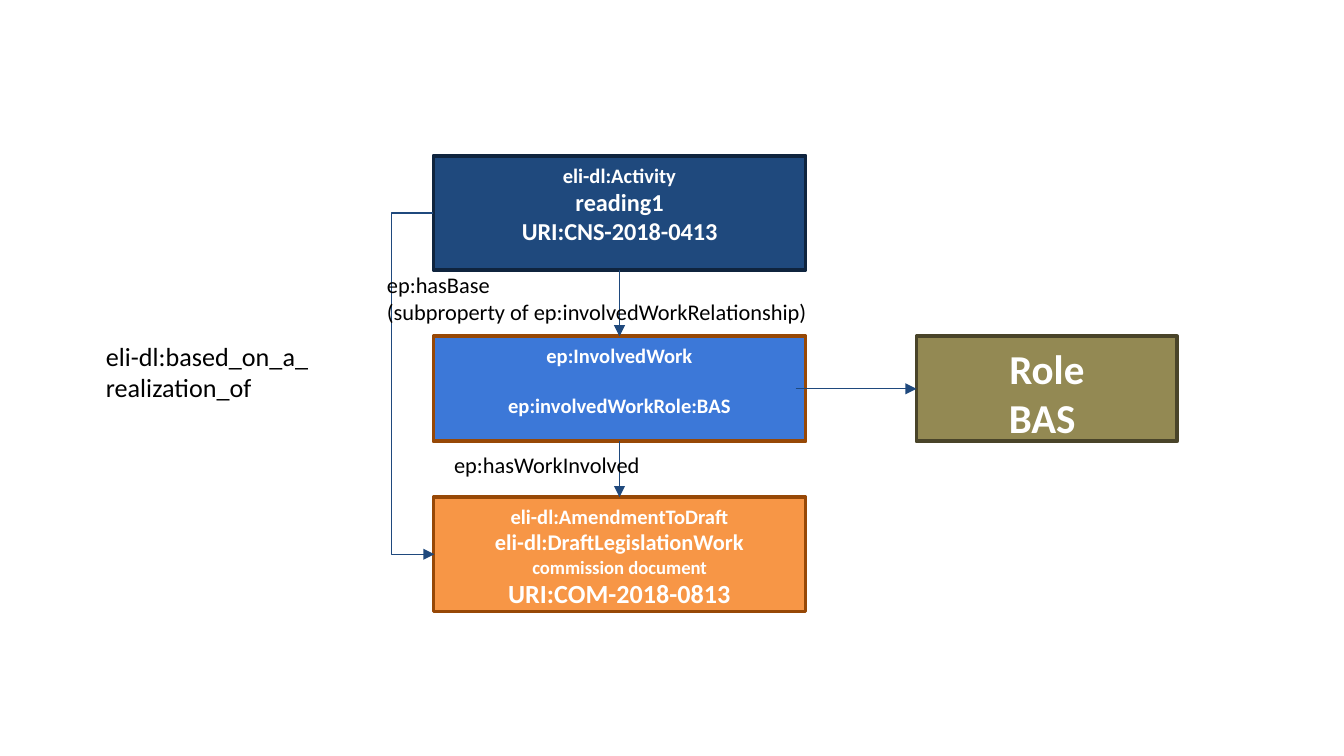
from lxml import etree
from pptx import Presentation
from pptx.dml.color import RGBColor
from pptx.enum.shapes import MSO_CONNECTOR, MSO_SHAPE
from pptx.enum.text import MSO_ANCHOR, PP_ALIGN
from pptx.oxml.ns import qn
from pptx.util import Pt

RECTANGLE = MSO_SHAPE.RECTANGLE
STRAIGHT, ELBOW = MSO_CONNECTOR.STRAIGHT, MSO_CONNECTOR.ELBOW
TOP, CENTER, LEFT = MSO_ANCHOR.TOP, PP_ALIGN.CENTER, PP_ALIGN.LEFT

FONT = "Calibri"
NAVY, WHITE, BLACK, BROWN = "1F497D", "FFFFFF", "000000", "974806"
COLUMN_LEFT, COLUMN_WIDTH = 232.2, 199.4
COLUMN_CENTER = COLUMN_LEFT + COLUMN_WIDTH / 2
ACTIVITY_TOP, INVOLVED_TOP, DRAFT_TOP = 83.5, 180.2, 266.4
TALL, SHORT = 61.2, 56.2
ROLE_LEFT, ROLE_WIDTH = 491.0, 139.7
BEND_LEFT = 209.5


def color(value):
    """Return the colour for a hex string."""
    return RGBColor.from_string(value)


def write_lines(shape, lines, text_color, bold, align, inset):
    """Write (text, size) lines, one paragraph each."""
    frame = shape.text_frame
    frame.word_wrap = True
    frame.vertical_anchor = TOP
    frame.margin_left = frame.margin_right = Pt(7.2)
    frame.margin_top = frame.margin_bottom = Pt(inset)
    frame.text = "\n".join(text for text, size in lines)
    for para, (text, size) in zip(frame.paragraphs, lines):
        para.alignment = align
        for span in para.runs:
            span.font.name = FONT
            span.font.size = Pt(size)
            span.font.bold = bold
            span.font.color.rgb = color(text_color)


def add_box(page, left, top, width, height, fill, outline, lines):
    """Add an outlined box with centred bold lines."""
    box = page.shapes.add_shape(RECTANGLE, Pt(left), Pt(top), Pt(width), Pt(height))
    box.shadow.inherit = False
    box.fill.solid()
    box.fill.fore_color.rgb = color(fill)
    box.line.color.rgb = color(outline)
    box.line.width = Pt(2)
    write_lines(box, lines, WHITE, True, CENTER, 3.6)
    return box


def add_label(page, left, top, width, height, size, *texts):
    """Add a plain relation label."""
    label = page.shapes.add_textbox(Pt(left), Pt(top), Pt(width), Pt(height))
    write_lines(label, [(text, size) for text in texts], BLACK, False, LEFT, 7.2)


def add_arrow(page, kind, start, end):
    """Add a thin connector with a triangle at its end."""
    arrow = page.shapes.add_connector(kind, *(Pt(value) for value in start + end))
    arrow.line.color.rgb = color(NAVY)
    arrow.line.width = Pt(0.75)
    etree.SubElement(arrow.line._get_or_add_ln(), qn("a:tailEnd"), type="triangle")
    etree.SubElement(arrow._element.spPr, qn("a:effectLst"))
    return arrow


def add_side_arrow(page, start, end, bend_left):
    """Add an elbow arrow that bends at the given horizontal place."""
    arrow = add_arrow(page, ELBOW, start, end)
    ratio = (bend_left - start[0]) / (end[0] - start[0])
    guides = arrow._element.spPr.find(qn("a:prstGeom")).get_or_add_avLst()
    formula = f"val {round(ratio * 100000)}"
    etree.SubElement(guides, qn("a:gd"), name="adj1", fmla=formula)


def main():
    """Build the diagram of works involved in an activity."""
    deck = Presentation()
    deck.slide_width, deck.slide_height = Pt(720), Pt(405)
    page = deck.slides.add_slide(deck.slide_layouts[6])

    add_box(page, COLUMN_LEFT, ACTIVITY_TOP, COLUMN_WIDTH, TALL, NAVY, "0F243E",
            [("eli-dl:Activity", 11), ("reading1", 13), ("URI:CNS-2018-0413", 13)])
    add_box(page, COLUMN_LEFT, DRAFT_TOP, COLUMN_WIDTH, TALL, "F79646", BROWN,
            [("eli-dl:AmendmentToDraft", 11), ("eli-dl:DraftLegislationWork", 12),
             ("commission document", 10), ("URI:COM-2018-0813", 14)])
    involved = add_box(page, COLUMN_LEFT, INVOLVED_TOP, COLUMN_WIDTH, SHORT, "3C78D8", BROWN,
                       [("ep:InvolvedWork", 11), ("ep:involvedWorkRole:BAS", 11)])
    involved.text_frame.paragraphs[1].space_before = Pt(13.4)
    add_box(page, ROLE_LEFT, INVOLVED_TOP, ROLE_WIDTH, SHORT, "938953", "494429",
            [("Role", 22), ("BAS ", 22)])

    for start, end in ((ACTIVITY_TOP + TALL, INVOLVED_TOP),
                       (INVOLVED_TOP + SHORT, DRAFT_TOP)):
        add_arrow(page, STRAIGHT, (COLUMN_CENTER, start), (COLUMN_CENTER, end))
    role_middle = INVOLVED_TOP + SHORT / 2
    add_arrow(page, STRAIGHT, (426.2, role_middle), (ROLE_LEFT, role_middle))
    add_side_arrow(page, (COLUMN_LEFT - 0.5, ACTIVITY_TOP + TALL / 2),
                   (COLUMN_LEFT + 0.5, DRAFT_TOP + TALL / 2), BEND_LEFT)

    add_label(page, 200.2, 138.2, 256.3, 58.3, 12, "ep:hasBase",
              "(subproperty of ep:involvedWorkRelationship)")
    add_label(page, 236.2, 234.7, 201.6, 43.9, 12, "ep:hasWorkInvolved")
    add_label(page, 49.7, 175, 180, 48.2, 14, "eli-dl:based_on_a_", "realization_of")

    deck.save("out.pptx")


if __name__ == "__main__":
    main()
